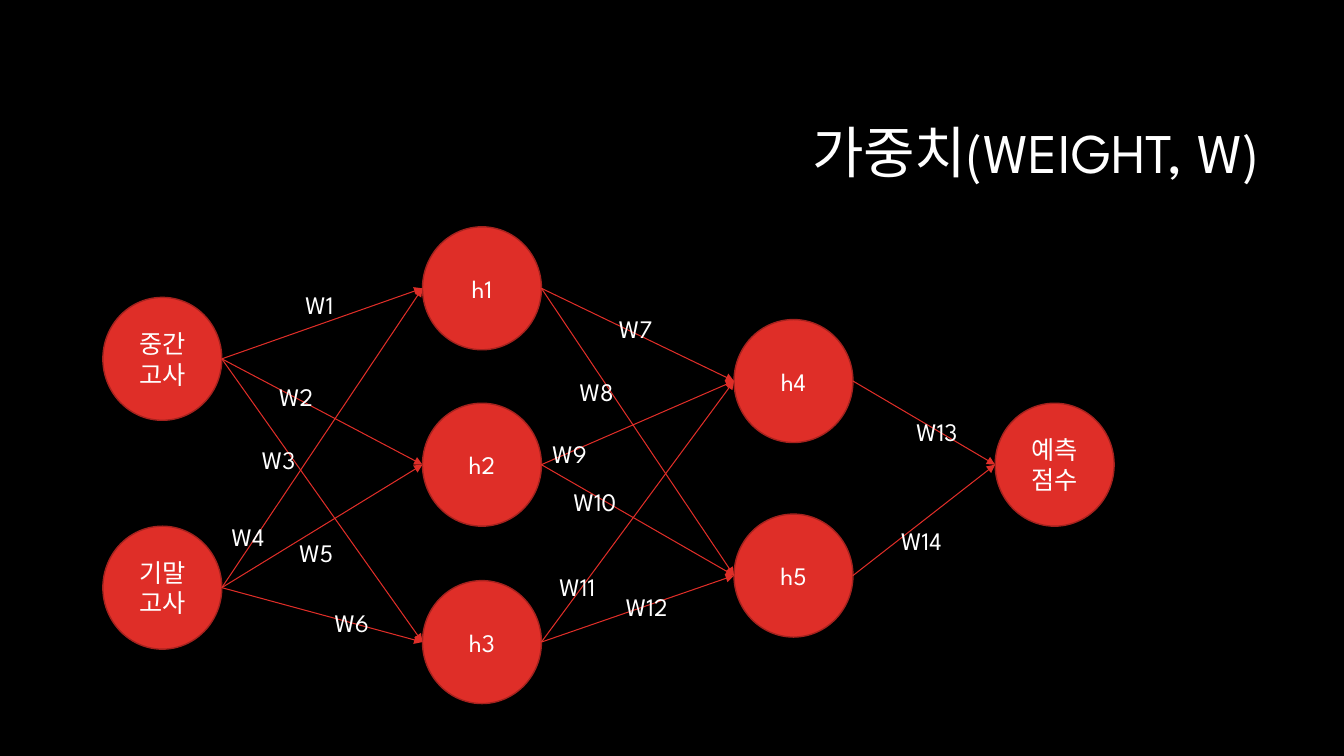
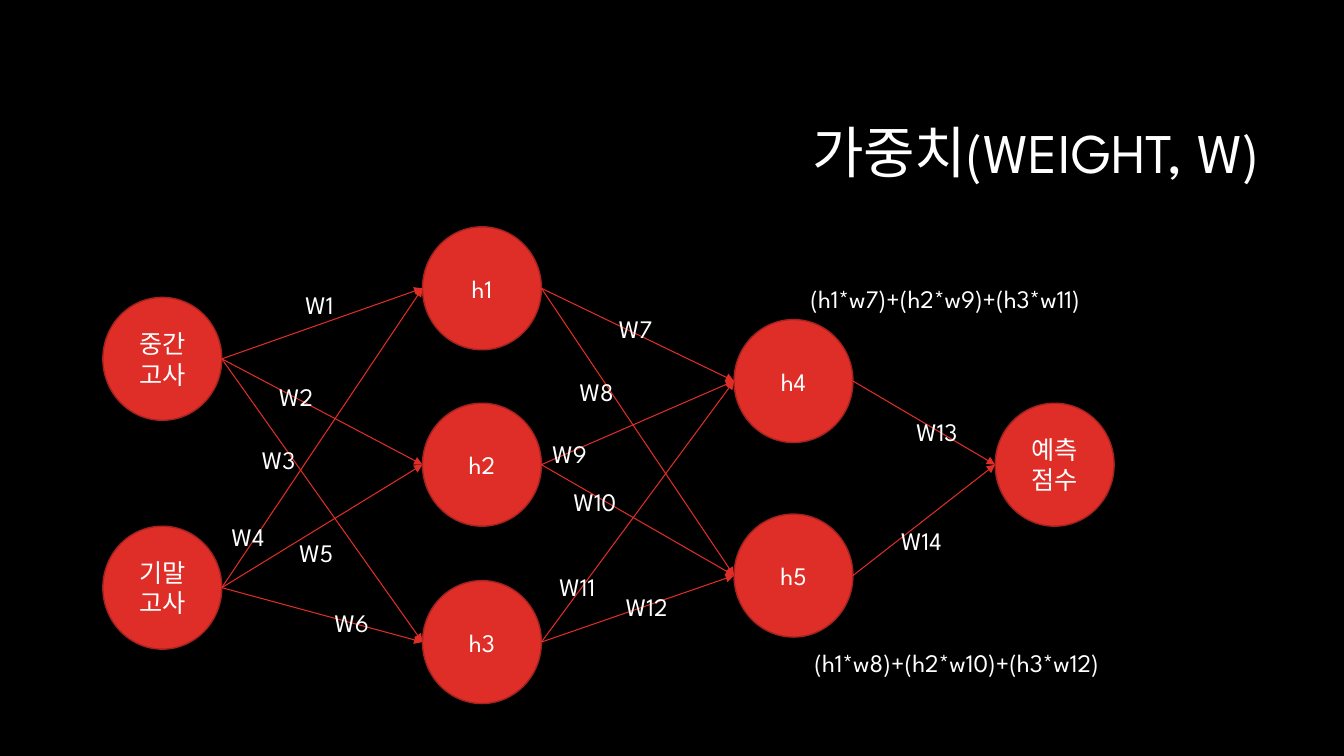
from dataclasses import dataclass
from itertools import pairwise, product

from lxml import etree
from pptx import Presentation
from pptx.dml.color import RGBColor
from pptx.enum.shapes import MSO_CONNECTOR, MSO_SHAPE
from pptx.enum.text import MSO_ANCHOR, MSO_AUTO_SIZE, PP_ALIGN
from pptx.oxml.ns import qn
from pptx.util import Inches, Pt

OVAL = MSO_SHAPE.OVAL
STRAIGHT = MSO_CONNECTOR.STRAIGHT
MIDDLE = MSO_ANCHOR.MIDDLE
FIT_TEXT = MSO_AUTO_SIZE.SHAPE_TO_FIT_TEXT
CENTER, RIGHT = PP_ALIGN.CENTER, PP_ALIGN.RIGHT


@dataclass(frozen=True)
class Theme:
    background: RGBColor = RGBColor(0x00, 0x00, 0x00)
    text: RGBColor = RGBColor(0xFF, 0xFF, 0xFF)
    accent: RGBColor = RGBColor(0xDF, 0x2E, 0x28)
    outline: RGBColor = RGBColor(0xA5, 0x22, 0x1E)
    font: str = "League Spartan"
    title_size: Pt = Pt(40)
    body_size: Pt = Pt(18)
    outline_width: Pt = Pt(1)
    arrow_width: Pt = Pt(0.75)


NODE_WIDTH, NODE_HEIGHT = 1.18, 1.22
LABEL_HEIGHT = 0.4
TITLE = "가중치(WEIGHT, W)"

# Each layer: left edge, then (name, top) of its nodes
LAYERS = [
    (1.02, [("중간고사", 2.95), ("기말고사", 5.22)]),
    (4.19, [("h1", 2.25), ("h2", 4.0), ("h3", 5.76)]),
    (7.28, [("h4", 3.17), ("h5", 5.1)]),
    (9.87, [("예측점수", 4.0)]),
]

# Left and top of the labels W1, W2, ...
WEIGHT_POSITIONS = [
    (2.93, 2.82), (2.67, 3.73), (2.5, 4.36),
    (2.2, 5.12), (2.87, 5.28), (3.22, 5.98),
    (6.04, 3.06), (5.65, 3.68), (5.38, 4.3),
    (5.59, 4.78), (5.45, 5.62), (6.11, 5.82),
    (8.99, 4.08), (8.84, 5.16),
]

# Text, left, top and width
FORMULAS = [
    ("(h1*w7)+(h2*w9)+(h3*w11)", 7.94, 2.76, 3.46),
    ("(h1*w8)+(h2*w10)+(h3*w12)", 7.98, 6.37, 3.6),
]


class Deck:
    def __init__(self, theme):
        self.theme = theme
        self.prs = Presentation()
        self.prs.slide_width, self.prs.slide_height = Inches(13.33), Inches(7.5)
        fill = self.prs.slide_master.background.fill
        fill.solid()
        fill.fore_color.rgb = theme.background
        self.slide = None

    def new_slide(self, title):
        self.slide = self.prs.slides.add_slide(self.prs.slide_layouts[6])
        self.title(title)

    def add_text(self, frame, text, size, align=None):
        paragraph = frame.paragraphs[0]
        paragraph.alignment = align
        run = paragraph.add_run()
        run.text = text
        run.font.name = self.theme.font
        run.font.size = size
        run.font.color.rgb = self.theme.text
        return paragraph

    def title(self, text):
        box = self.slide.shapes.add_textbox(
            Inches(3.17), Inches(0.84), Inches(9.42), Inches(1.41))
        frame = box.text_frame
        frame.word_wrap = True
        frame.vertical_anchor = MIDDLE
        self.add_text(frame, text, self.theme.title_size, RIGHT).line_spacing = 0.9

    def node(self, text, left, top):
        circle = self.slide.shapes.add_shape(
            OVAL, Inches(left), Inches(top), Inches(NODE_WIDTH), Inches(NODE_HEIGHT))
        circle.shadow.inherit = False
        circle.fill.solid()
        circle.fill.fore_color.rgb = self.theme.accent
        circle.line.color.rgb = self.theme.outline
        circle.line.width = self.theme.outline_width
        frame = circle.text_frame
        frame.word_wrap = True
        frame.vertical_anchor = MIDDLE
        self.add_text(frame, text, self.theme.body_size, CENTER)

    def arrow(self, start, end):
        connector = self.slide.shapes.add_connector(
            STRAIGHT, *(Inches(value) for value in (*start, *end)))
        connector.line.color.rgb = self.theme.accent
        connector.line.width = self.theme.arrow_width
        properties = connector.element.spPr
        etree.SubElement(properties.find(qn("a:ln")), qn("a:tailEnd"), type="triangle")
        etree.SubElement(properties, qn("a:effectLst"))

    def label(self, text, left, top, width):
        box = self.slide.shapes.add_textbox(
            Inches(left), Inches(top), Inches(width), Inches(LABEL_HEIGHT))
        frame = box.text_frame
        frame.word_wrap = False
        frame.auto_size = FIT_TEXT
        self.add_text(frame, text, self.theme.body_size)


def draw_network(deck):
    """Draw fully connected layers with a numbered weight on each arrow."""
    for left, nodes in LAYERS:
        for name, top in nodes:
            deck.node(name, left, top)
    for (left, sources), (next_left, targets) in pairwise(LAYERS):
        for (_, top), (_, next_top) in product(sources, targets):
            deck.arrow((left + NODE_WIDTH, top + NODE_HEIGHT / 2),
                       (next_left, next_top + NODE_HEIGHT / 2))
    for number, (left, top) in enumerate(WEIGHT_POSITIONS, start=1):
        deck.label(f"W{number}", left, top, 0.58 if number < 10 else 0.72)


def main():
    deck = Deck(Theme())
    for formulas in ([], FORMULAS):
        deck.new_slide(TITLE)
        draw_network(deck)
        for formula in formulas:
            deck.label(*formula)
    deck.prs.save("out.pptx")


if __name__ == "__main__":
    main()
